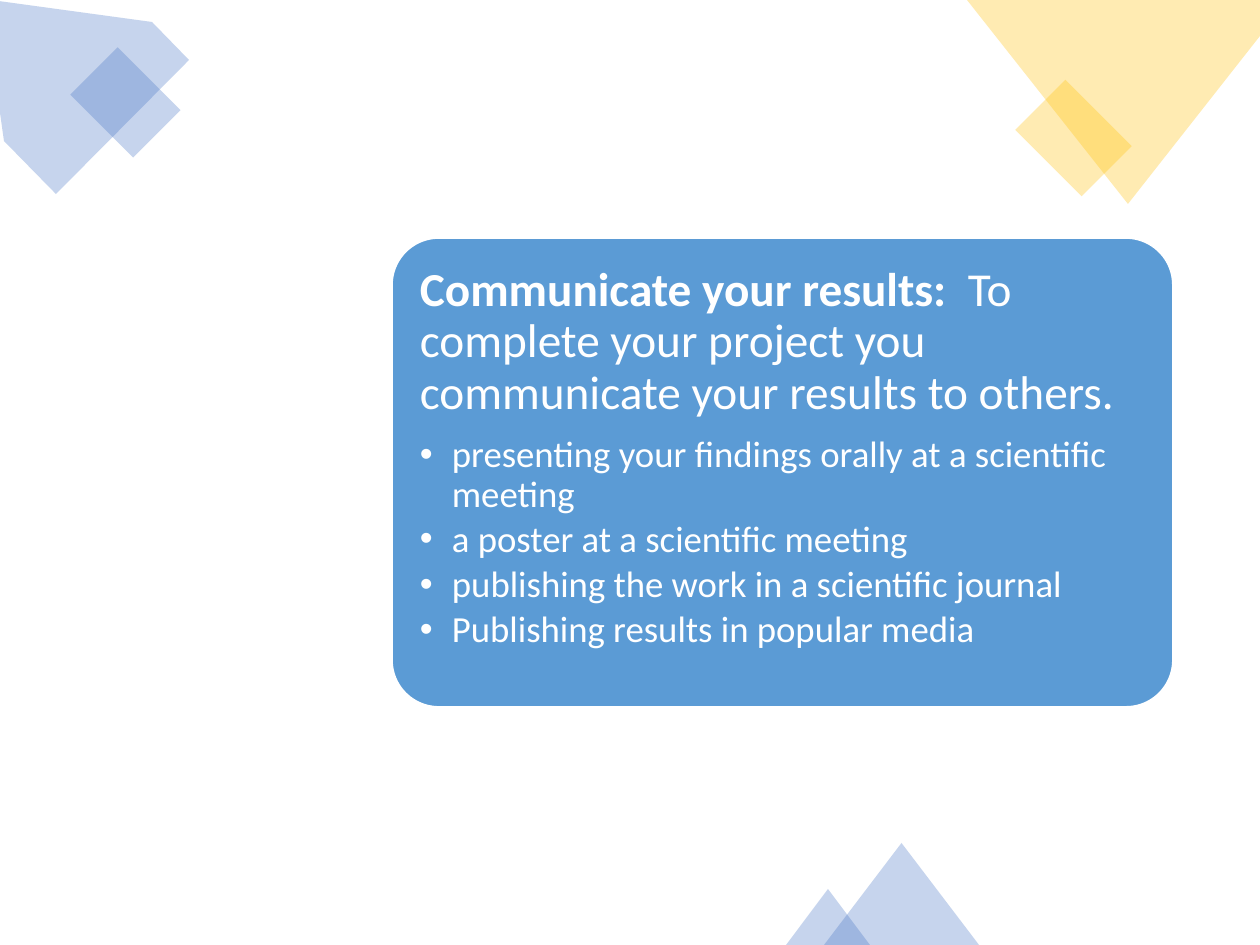
from lxml import etree
from pptx import Presentation
from pptx.dml.color import RGBColor
from pptx.enum.shapes import MSO_SHAPE
from pptx.enum.text import MSO_ANCHOR
from pptx.oxml.ns import qn
from pptx.util import Emu, Pt

PX_PER_INCH = 126
RECTANGLE = MSO_SHAPE.RECTANGLE
TRIANGLE = MSO_SHAPE.ISOSCELES_TRIANGLE
ROUNDED = MSO_SHAPE.ROUNDED_RECTANGLE
TOP = MSO_ANCHOR.TOP

COLORS = {"blue": "4472C4", "gold": "FFC000", "card": "5B9BD5", "white": "FFFFFF"}
FONT = "Calibri"

BULLETS = [
    "presenting your findings orally at a scientific meeting",
    "a poster at a scientific meeting",
    "publishing the work in a scientific journal",
    "Publishing results in popular media",
]


def px(length):
    return Emu(round(length * 914400 / PX_PER_INCH))


def rgb(name):
    return RGBColor.from_string(COLORS[name])


def paint(shape, color, opacity=100):
    """Give a flat fill without outline or shadow."""
    shape.shadow.inherit = False
    shape.fill.solid()
    shape.fill.fore_color.rgb = rgb(color)
    shape.line.fill.background()
    if opacity < 100:
        color_element = shape.fill._xPr.find(qn("a:solidFill"))[0]
        etree.SubElement(color_element, qn("a:alpha"), val=str(opacity * 1000))


def add_preset(page, kind, left, top, width, height, color, opacity=100, rotation=0):
    shape = page.shapes.add_shape(kind, px(left), px(top), px(width), px(height))
    shape.rotation = rotation
    paint(shape, color, opacity)
    return shape


def add_polygon(page, points, color, opacity):
    corners = [(px(x), px(y)) for x, y in points]
    builder = page.shapes.build_freeform(*corners[0], scale=1.0)
    builder.add_line_segments(corners[1:], close=True)
    paint(builder.convert_to_shape(), color, opacity)


def add_span(para, text, size, bold=False, color="white"):
    span = para.add_run()
    span.text = text
    span.font.name = FONT
    span.font.size = Pt(size)
    span.font.bold = bold
    span.font.color.rgb = rgb(color)


def add_bullet(para, indent):
    properties = para._p.get_or_add_pPr()
    properties.set("marL", str(indent))
    properties.set("indent", str(-indent))
    etree.SubElement(properties, qn("a:buFont"), typeface="Arial")
    etree.SubElement(properties, qn("a:buChar"), char="•")


def add_card_text(page, left, top, width, height, margin):
    box = page.shapes.add_textbox(px(left), px(top), px(width), px(height))
    frame = box.text_frame
    frame.word_wrap = True
    frame.vertical_anchor = TOP
    frame.margin_left = frame.margin_right = px(margin)
    frame.margin_top = frame.margin_bottom = px(margin)

    # Lead sentence
    lead = frame.paragraphs[0]
    lead.line_spacing = 0.9
    lead.space_after = Pt(9.45)
    add_span(lead, "Communicate your results:", 27, bold=True)
    add_span(lead, "\u00a0 To complete your project you communicate your results to others.", 27)

    # Ways to communicate
    for text in BULLETS:
        para = frame.add_paragraph()
        para.level = 1
        para.line_spacing = 0.9
        para.space_after = Pt(3.15)
        add_bullet(para, px(32))
        add_span(para, text, 21)


def main():
    deck = Presentation()
    deck.slide_width, deck.slide_height = px(1260), px(945)
    page = deck.slides.add_slide(deck.slide_layouts[6])

    # Corner decorations
    add_polygon(page, [(152, 22), (-16, -1), (4, 141), (56, 194), (189, 60)], "blue", 30)
    add_preset(page, RECTANGLE, 92, 58, 67, 89, "blue", 30, rotation=315)
    add_preset(page, RECTANGLE, 1038, 91, 71, 94, "gold", 30, rotation=315)
    add_polygon(page, [(1260, 0), (967, 0), (1128, 204), (1260, 36)], "gold", 30)

    # Bottom peaks
    add_preset(page, TRIANGLE, 824, 843, 155, 102, "blue", 30)
    add_preset(page, TRIANGLE, 786, 889, 84, 56, "blue", 30)

    # Card
    card = add_preset(page, ROUNDED, 392, 238, 781, 469, "card")
    card.adjustments[0] = 0.1
    card.line.color.rgb = rgb("white")
    card.line.width = Pt(1)
    add_card_text(page, 406, 252, 753, 441, margin=14)

    deck.save("out.pptx")


if __name__ == "__main__":
    main()
